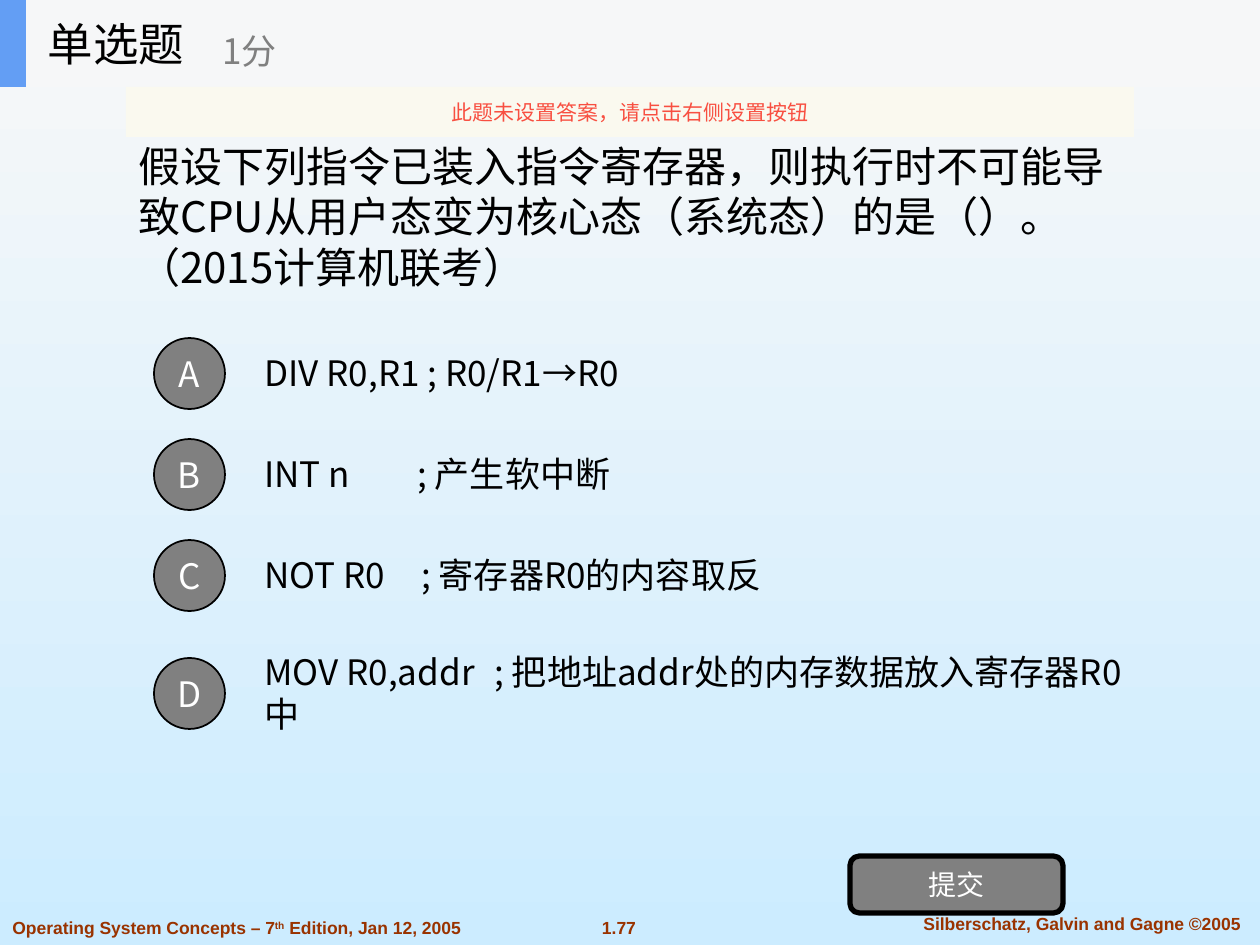
from lxml import etree
from pptx import Presentation
from pptx.dml.color import RGBColor
from pptx.enum.shapes import MSO_SHAPE
from pptx.enum.text import MSO_ANCHOR, MSO_AUTO_SIZE, PP_ALIGN
from pptx.oxml.ns import qn
from pptx.util import Emu, Pt

LEFT, CENTER = PP_ALIGN.LEFT, PP_ALIGN.CENTER
TOP, MIDDLE = MSO_ANCHOR.TOP, MSO_ANCHOR.MIDDLE
RECT, OVAL, ROUND = MSO_SHAPE.RECTANGLE, MSO_SHAPE.OVAL, MSO_SHAPE.ROUNDED_RECTANGLE

PX = 914400 / 126
CJK = "Noto Sans CJK SC"
COLORS = {
    "bg_top": "F8F8F8", "bg_bottom": "CCECFF", "header": "F6F7F8", "accent": "639EF4",
    "ink": "000000", "grey": "808080", "white": "FFFFFF",
    "notice": "FBFAEF", "warning": "F84F41", "footer": "993300",
}


def px(n):
    return Emu(round(n * PX))


def rgb(name):
    return RGBColor.from_string(COLORS[name])


def write(sp, *paragraphs, size=20, color="ink", font=CJK, bold=False,
          align=LEFT, anchor=MIDDLE, wrap=True, tab=None):
    """Fill a shape with paragraphs; each is a string or a list of (text, superscript)."""
    tf = sp.text_frame
    tf.word_wrap = wrap
    tf.auto_size = MSO_AUTO_SIZE.NONE
    tf.vertical_anchor = anchor
    tf.margin_left = tf.margin_right = Pt(7.2)
    tf.margin_top = tf.margin_bottom = Pt(3.6)
    for i, runs in enumerate(paragraphs):
        p = tf.add_paragraph() if i else tf.paragraphs[0]
        p.alignment = align
        if tab:
            tabs = etree.SubElement(p._p.get_or_add_pPr(), qn("a:tabLst"))
            etree.SubElement(tabs, qn("a:tab"), pos=str(px(tab)), algn="l")
        for text, superscript in [(runs, False)] if isinstance(runs, str) else runs:
            r = p.add_run()
            r.text = text
            r.font.size, r.font.bold, r.font.name = Pt(size), bold, font
            r.font.color.rgb = rgb(color)
            rPr = r.font._element
            etree.SubElement(rPr, qn("a:ea"), typeface=font)
            if superscript:
                rPr.set("baseline", "30000")
    return sp


def add_text(s, x, y, w, h, *paragraphs, **fmt):
    return write(s.shapes.add_textbox(px(x), px(y), px(w), px(h)), *paragraphs, **fmt)


def add_box(s, kind, x, y, w, h, fill, line=None):
    sp = s.shapes.add_shape(kind, px(x), px(y), px(w), px(h))
    sp.shadow.inherit = False
    sp.fill.solid()
    sp.fill.fore_color.rgb = rgb(fill)
    if line:
        sp.line.color.rgb = rgb("ink")
        sp.line.width = Pt(line)
    else:
        sp.line.fill.background()
    return sp


def add_background(s):
    fill = s.background.fill
    fill.gradient()
    fill.gradient_angle = 270
    for stop, name in zip(fill.gradient_stops, ("bg_top", "bg_bottom")):
        stop.color.rgb = rgb(name)


def add_footer(s, x, y, w):
    fmt = dict(size=10, color="footer", font="Arial", bold=True, anchor=TOP)
    add_text(s, x, y + 4, 475, 34,
             [("Operating System Concepts – 7", False), ("th", True),
              (" Edition, Jan 12, 2005", False)], **fmt)
    add_text(s, x + 588, y + 4, 62, 34, "1.77", align=CENTER, wrap=False, **fmt)
    add_text(s, x + w - 356, y, 356, 34, "Silberschatz, Galvin and Gagne ©2005",
             align=CENTER, **fmt)


def add_option(s, x, y, w, h, letter, text, tab):
    add_text(s, x + 98, y, w - 98, h, text, tab=tab)
    d = 71
    badge = add_box(s, OVAL, x, y + (h - d) // 2 + 1, d, d, "grey", line=1)
    write(badge, letter, color="white", align=CENTER, wrap=False)


def add_header(s, x, y, w, h):
    add_box(s, RECT, x, y, w, h, "header")
    bar = add_box(s, RECT, x, y, 26, h, "accent")
    title = s.shapes.title
    title.left, title.top, title.width, title.height = px(x + 35), px(y), px(262), px(h)
    write(title, "单选题", size=26)
    bar.element.addnext(title.element)  # bring the title in front of the band
    add_text(s, x + 210, y + 15, 315, 71, "1分", color="grey")


def add_notice(s, x, y, w, h):
    sp = add_box(s, RECT, x, y, w, h, "notice")
    color = sp.fill._xPr.find(qn("a:solidFill"))[0]
    etree.SubElement(color, qn("a:alpha"), val="90000")
    write(sp, "此题未设置答案，请点击右侧设置按钮", size=12, color="warning", align=CENTER)


def main():
    prs = Presentation()
    prs.slide_width, prs.slide_height = px(1260), px(945)
    s = prs.slides.add_slide(prs.slide_layouts[5])
    add_background(s)
    add_footer(s, 0, 907, 1260)

    # Question
    add_text(s, 126, 98, 1008, 236,
             "假设下列指令已装入指令寄存器，则执行时不可能导致CPU从用户态变为核心态（系统态）的是（）。",
             "（2015计算机联考）", size=24)

    # Answers: letter, top, text, tab stop of the comment
    options = [
        ("A", 329, "DIV R0,R1 ; R0/R1→R0", None),
        ("B", 430, "INT n\t; 产生软中断", 153),
        ("C", 531, "NOT R0\t; 寄存器R0的内容取反", 157),
        ("D", 649, "MOV R0,addr\t; 把地址addr处的内存数据放入寄存器R0中", 230),
    ]
    for letter, top, text, tab in options:
        add_option(s, 154, top, 980, 88, letter, text, tab)

    # Submit button
    button = add_box(s, ROUND, 850, 856, 213, 57, "grey", line=3)
    write(button, "提交", size=16, color="white", align=CENTER)

    add_header(s, 0, 0, 1260, 87)
    add_notice(s, 126, 87, 1008, 50)
    prs.save("out.pptx")


if __name__ == "__main__":
    main()
